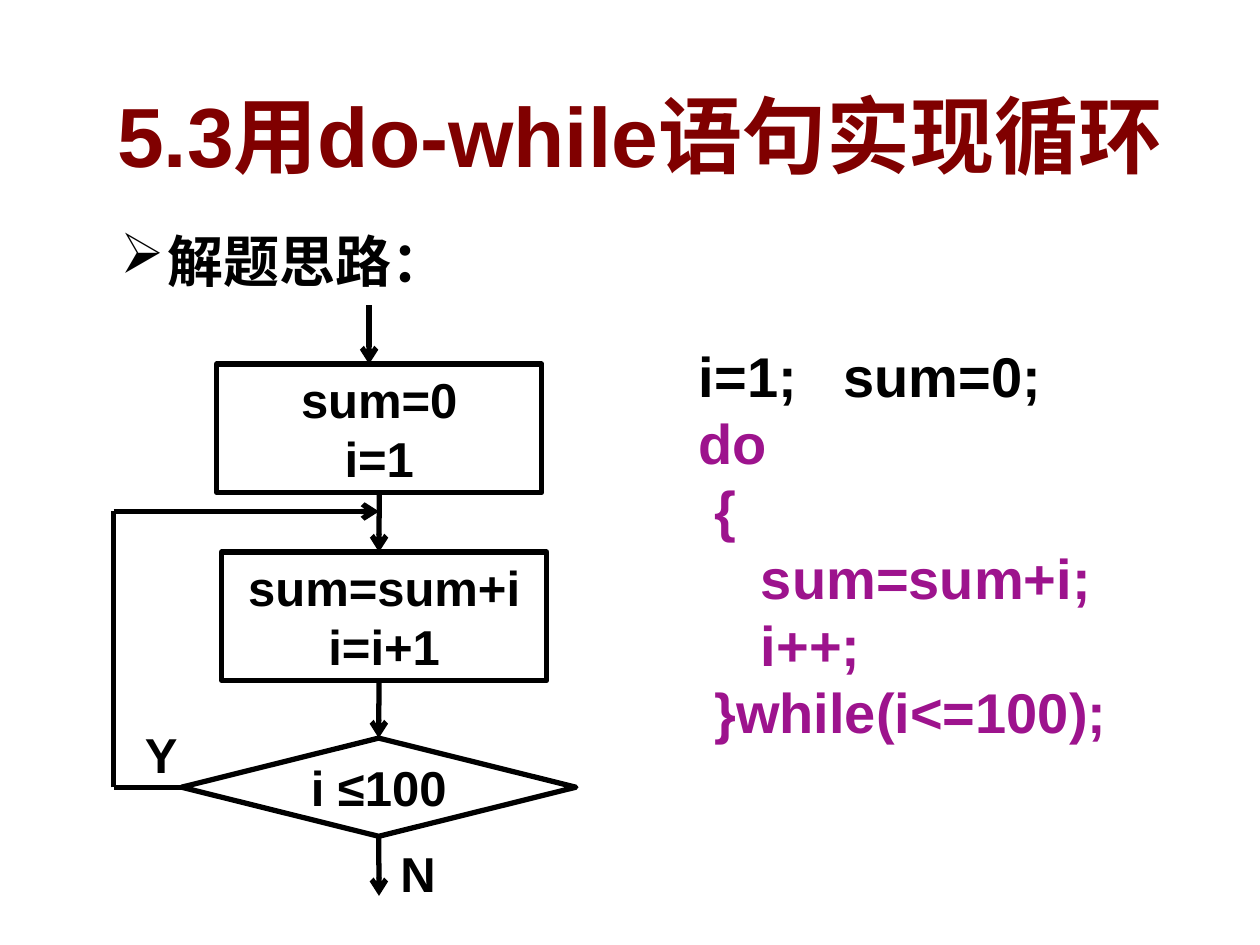
from lxml import etree
from pptx import Presentation
from pptx.dml.color import RGBColor
from pptx.enum.shapes import MSO_CONNECTOR, MSO_SHAPE
from pptx.enum.text import MSO_ANCHOR, PP_ALIGN
from pptx.oxml import parse_xml
from pptx.oxml.ns import nsdecls, qn
from pptx.util import Cm, Pt

PROCESS, DECISION = MSO_SHAPE.FLOWCHART_PROCESS, MSO_SHAPE.FLOWCHART_DECISION
STRAIGHT = MSO_CONNECTOR.STRAIGHT
TOP, MIDDLE = MSO_ANCHOR.TOP, MSO_ANCHOR.MIDDLE
LEFT, CENTER = PP_ALIGN.LEFT, PP_ALIGN.CENTER
TOP_SITE, LEFT_SITE, BOTTOM_SITE = 0, 1, 2

COLORS = {"title": "800000", "ink": "000000", "paper": "FFFFFF",
          "loop": "9D138D", "shadow": "DDDDDD"}


def rgb(name):
    return RGBColor.from_string(COLORS[name])


def write_text(shape, lines, size, align=LEFT, anchor=TOP, wrap=True):
    """Fill a shape; each line is a list of (text, colour name) runs."""
    frame = shape.text_frame
    frame.word_wrap = wrap
    frame.vertical_anchor = anchor
    font_format = {"name": "Arial", "size": Pt(size), "bold": True}
    for index, line in enumerate(lines):
        paragraph = frame.add_paragraph() if index else frame.paragraphs[0]
        paragraph.alignment = align
        for text, color in line:
            run = paragraph.add_run()
            run.text = text
            for attribute, value in font_format.items():
                setattr(run.font, attribute, value)
            run.font.color.rgb = rgb(color)


presentation = Presentation()
presentation.slide_width, presentation.slide_height = Cm(25.4), Cm(19.05)
slide = presentation.slides.add_slide(presentation.slide_layouts[6])
shapes = slide.shapes

# Text boxes: position and size in cm, lines, then text format
text_boxes = {
    "title": ((1.19, 1.55, 23.42, 2.31), [[("5.3用do-while语句实现循环", "title")]],
              {"size": 48, "align": CENTER, "anchor": MIDDLE}),
    "heading": ((2.18, 4.17, 9.32, 2.39), [[("解题思路：", "ink")]], {"size": 32}),
    "yes": ((2.67, 14.48, 1.4, 1.45), [[("Y", "ink")]], {"size": 28}),
    "no": ((7.82, 16.87, 1.4, 1.45), [[("N", "ink")]], {"size": 28}),
    "code": ((12.9, 6.76, 11.13, 9.32), [
        [("   i=1;   sum=0;", "ink")],
        [("   do", "loop")],
        [("    {", "loop")],
        [("       sum=sum+i;", "loop")],
        [("       i++;", "loop")],
        [("    }while(i<=100);", "loop")],
    ], {"size": 32}),
}
boxes = {}
for name, (place, lines, text_format) in text_boxes.items():
    boxes[name] = shapes.add_textbox(*map(Cm, place))
    write_text(boxes[name], lines, **text_format)

# Soft shadow behind the title letters
title_run = boxes["title"].text_frame.paragraphs[0].runs[0]
title_fill = title_run.font._element.find(qn("a:solidFill"))
title_fill.addnext(parse_xml(
    f'<a:effectLst {nsdecls("a")}><a:outerShdw dist="35921" dir="2700000">'
    f'<a:srgbClr val="{COLORS["shadow"]}"/></a:outerShdw></a:effectLst>'))

# Arrow bullet on the heading
heading = boxes["heading"].text_frame.paragraphs[0]
heading_properties = heading._p.get_or_add_pPr()
heading_properties.set("marL", str(Cm(0.95)))
heading_properties.set("indent", str(-Cm(0.95)))
etree.SubElement(heading_properties, qn("a:buChar")).set("char", "➢")
heading.line_spacing = 1.2

# Flowchart blocks
blocks = {
    "start": (PROCESS, (4.37, 7.34, 6.55, 2.59), ["sum=0", "i=1"]),
    "body": (PROCESS, (4.47, 11.13, 6.55, 2.59), ["sum=sum+i", "i=i+1"]),
    "test": (DECISION, (3.66, 14.88, 7.95, 1.98), ["i ≤100"]),
}
nodes = {}
for name, (kind, place, lines) in blocks.items():
    node = nodes[name] = shapes.add_shape(kind, *map(Cm, place))
    node.shadow.inherit = False
    node.fill.solid()
    node.fill.fore_color.rgb = rgb("paper")
    node.line.color.rgb = rgb("ink")
    node.line.width = Pt(3)
    for side in ("left", "top", "right", "bottom"):
        setattr(node.text_frame, f"margin_{side}", 0)
    write_text(node, [[(line, "ink")] for line in lines], 28, CENTER, MIDDLE, False)

# Flow lines: start, end, arrowhead, joined start, joined end
axis, loop_x, loop_y, test_y = 7.64, 2.29, 10.31, 15.87
flow_lines = [
    ((7.44, 6.15), (7.44, 7.34), True, None, None),
    ((axis, 9.93), (axis, 11.13), True, ("start", BOTTOM_SITE), None),
    ((axis, 13.72), (axis, 14.88), True, None, ("test", TOP_SITE)),
    ((axis, 16.86), (axis, 18.06), True, ("test", BOTTOM_SITE), None),
    ((3.66, test_y), (loop_x, test_y), False, ("test", LEFT_SITE), None),
    ((loop_x, test_y), (loop_x, loop_y), False, None, None),
    ((loop_x, loop_y), (axis, loop_y), True, None, None),
]
for start, end, has_arrow, start_joint, end_joint in flow_lines:
    connector = shapes.add_connector(STRAIGHT, *map(Cm, start + end))
    if start_joint:
        connector.begin_connect(nodes[start_joint[0]], start_joint[1])
    if end_joint:
        connector.end_connect(nodes[end_joint[0]], end_joint[1])
    connector.line.color.rgb = rgb("ink")
    connector.line.width = Pt(3)
    if has_arrow:
        etree.SubElement(connector.line._get_or_add_ln(), qn("a:tailEnd")).set("type", "arrow")
    etree.SubElement(connector._element.spPr, qn("a:effectLst"))

presentation.save("out.pptx")
